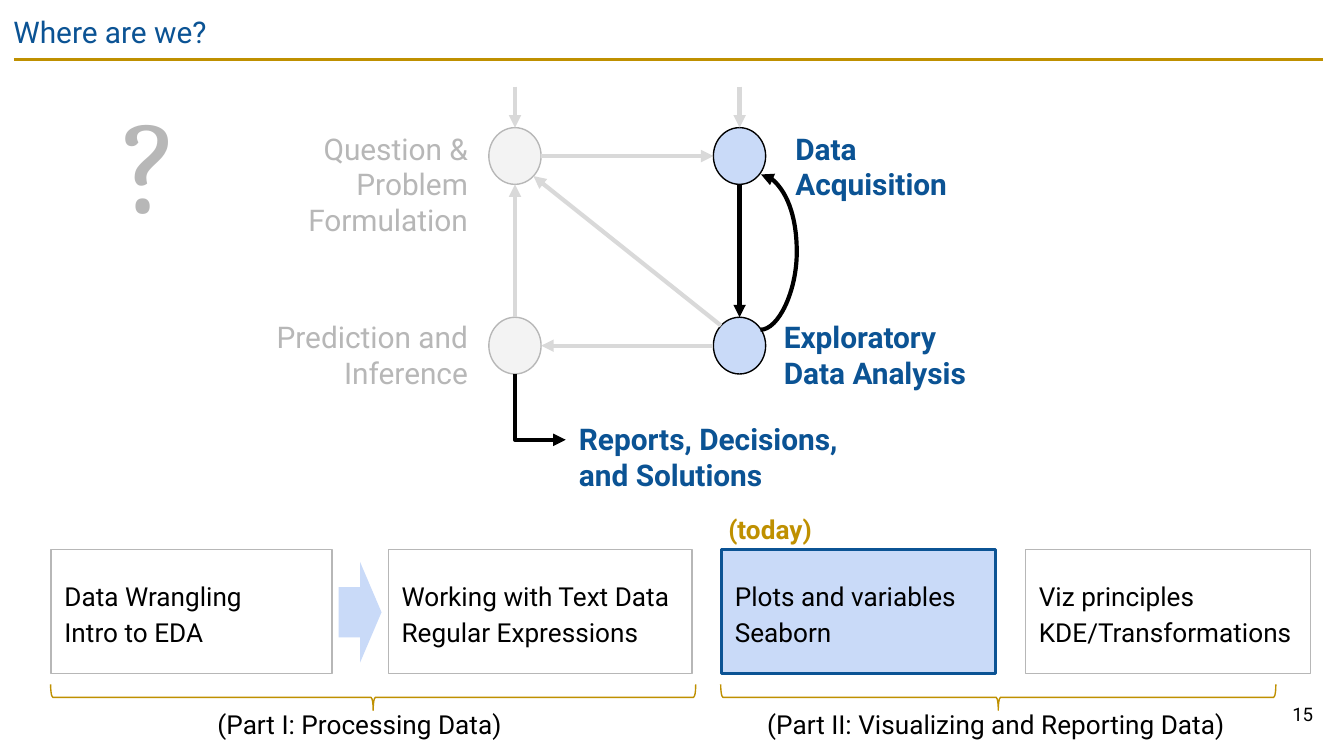
from dataclasses import dataclass
from math import cos, radians, sin

from lxml.etree import SubElement
from pptx import Presentation
from pptx.dml.color import RGBColor
from pptx.enum.shapes import MSO_CONNECTOR as Connector, MSO_SHAPE as Shape
from pptx.enum.text import MSO_ANCHOR as Anchor, MSO_AUTO_SIZE as AutoSize, PP_ALIGN as Align
from pptx.oxml.ns import qn
from pptx.util import Pt


@dataclass(frozen=True)
class Theme:
    font: str = "Roboto"
    symbol_font: str = "Cambria"
    blue: str = "0B5394"
    gold: str = "BF9000"
    pale_blue: str = "C9DAF8"
    black: str = "000000"
    white: str = "FFFFFF"
    grey: str = "B7B7B7"
    light_grey: str = "D9D9D9"
    pale_grey: str = "F3F3F3"
    heading: float = 16
    body: float = 14
    number: float = 10
    symbol: float = 72
    inset: float = 7.2
    thin: float = 0.75
    medium: float = 1.5
    thick: float = 2.25


THEME = Theme()
NODE_WIDTH, NODE_HEIGHT = 28, 30.4
# Connection sites of an ellipse, counter-clockwise from the top
TOP, TOP_LEFT, LEFT, BOTTOM, BOTTOM_RIGHT, RIGHT = 0, 1, 2, 4, 5, 6


def write_text(shape, text, size=THEME.body, color=THEME.black, bold=False, align=Align.LEFT,
               anchor=Anchor.TOP, font=THEME.font, spacing=None, inset=THEME.inset):
    frame = shape.text_frame
    frame.word_wrap = True
    frame.auto_size = AutoSize.NONE
    frame.vertical_anchor = anchor
    frame.margin_left = frame.margin_right = Pt(inset)
    frame.margin_top = frame.margin_bottom = Pt(min(inset, THEME.inset))
    frame.text = text
    for paragraph in frame.paragraphs:
        paragraph.alignment = align
        if spacing:
            paragraph.line_spacing = spacing
        paragraph.font.name = font
        paragraph.font.size = Pt(size)
        paragraph.font.bold = bold
        paragraph.font.color.rgb = RGBColor.from_string(color)


def add_label(slide, box, text, **text_format):
    shape = slide.shapes.add_textbox(*map(Pt, box))
    write_text(shape, text, **text_format)
    return shape


def add_figure(slide, kind, box, fill=None, line=None, weight=THEME.thin):
    shape = slide.shapes.add_shape(kind, *map(Pt, box))
    shape.shadow.inherit = False
    if fill:
        shape.fill.solid()
        shape.fill.fore_color.rgb = RGBColor.from_string(fill)
    else:
        shape.fill.background()
    if line:
        shape.line.color.rgb = RGBColor.from_string(line)
        shape.line.width = Pt(weight)
    else:
        shape.line.fill.background()
    return shape


def add_line(slide, start, end, color, weight=THEME.thick, kind=Connector.STRAIGHT, arrow=True):
    connector = slide.shapes.add_connector(kind, *map(Pt, (*start, *end)))
    connector.line.color.rgb = RGBColor.from_string(color)
    connector.line.width = Pt(weight)
    if arrow:
        SubElement(connector.line._get_or_add_ln(), qn("a:tailEnd"), type="triangle")
    SubElement(connector._element.spPr, qn("a:effectLst"))
    return connector


def add_node(slide, center, fill, line):
    x, y = center
    box = (x - NODE_WIDTH / 2, y - NODE_HEIGHT / 2, NODE_WIDTH, NODE_HEIGHT)
    return add_figure(slide, Shape.OVAL, box, fill, line)


def site_point(node, site):
    angle = radians(90 + 45 * site)
    x = node.left.pt + node.width.pt / 2 * (1 + cos(angle))
    y = node.top.pt + node.height.pt / 2 * (1 - sin(angle))
    return x, y


def link_nodes(slide, source, source_site, target, target_site, color):
    connector = add_line(slide, site_point(source, source_site),
                         site_point(target, target_site), color)
    # Ellipses have eight sites, so the joins are written directly
    joins = connector._element.nvCxnSpPr.cNvCxnSpPr
    for tag, node, site in (("a:stCxn", source, source_site), ("a:endCxn", target, target_site)):
        SubElement(joins, qn(tag), id=str(node.shape_id), idx=str(site))


def add_report_arrow(slide, start, end):
    # A quarter-turned, mirrored elbow runs down first and then right
    (x1, y1), (x2, y2) = start, end
    center_x, center_y = (x1 + x2) / 2, (y1 + y2) / 2
    half_length, half_depth = (y2 - y1) / 2, (x2 - x1) / 2
    connector = add_line(slide, (center_x + half_length, center_y - half_depth),
                         (center_x - half_length, center_y + half_depth),
                         THEME.black, kind=Connector.ELBOW)
    properties = connector._element.spPr
    properties.find(qn("a:xfrm")).set("rot", str(270 * 60000))
    properties.find(qn("a:prstGeom")).set("prst", "bentConnector2")


def add_return_arrow(slide, start, end, bulge):
    connector = add_line(slide, start, end, THEME.black, kind=Connector.CURVE)
    ratio = round(bulge / (end[0] - start[0]) * 100000)
    geometry = connector._element.spPr.find(qn("a:prstGeom"))
    guides = geometry.find(qn("a:avLst"))
    SubElement(guides, qn("a:gd"), name="adj1", fmla=f"val {ratio}")


def add_brace(slide, left, width, top=366.7, depth=13.8):
    # The brace is drawn upright around its centre and turned to point down
    box = (left + (width - depth) / 2, top + (depth - width) / 2, depth, width)
    add_figure(slide, Shape.RIGHT_BRACE, box, line=THEME.gold).rotation = 90


def add_title(slide):
    title = slide.shapes.title
    title.left, title.top, title.width, title.height = map(Pt, (0, 0, 671, 31))
    write_text(title, "Where are we?", size=THEME.heading, color=THEME.blue)
    add_line(slide, (7.5, 31.9), (709, 31.9), THEME.gold, THEME.medium, arrow=False)


def add_lifecycle(slide):
    left, right, upper, lower = 275.9, 396.2, 83.6, 185.2
    muted, active = (THEME.pale_grey, THEME.grey), (THEME.pale_blue, THEME.black)
    question = add_node(slide, (left, upper), *muted)
    acquisition = add_node(slide, (right, upper), *active)
    exploration = add_node(slide, (right, lower), *active)
    prediction = add_node(slide, (left, lower), *muted)

    # Arrows
    for node in (question, acquisition):
        x, y = site_point(node, TOP)
        add_line(slide, (x, 46.4), (x, y), THEME.light_grey)
    for link in (
        (question, RIGHT, acquisition, LEFT, THEME.light_grey),
        (acquisition, BOTTOM, exploration, TOP, THEME.black),
        (exploration, TOP_LEFT, question, BOTTOM_RIGHT, THEME.light_grey),
        (exploration, LEFT, prediction, RIGHT, THEME.light_grey),
        (prediction, TOP, question, BOTTOM, THEME.light_grey),
    ):
        link_nodes(slide, *link)
    add_report_arrow(slide, site_point(prediction, BOTTOM), (303.1, 235.6))
    add_return_arrow(slide, (407.4, 176.7), (407.73, 93.5), bulge=18.9)

    # Labels
    for box, text in (
        ((107.4, 62.6, 150.4, 35), "Question & Problem\nFormulation"),
        ((131, 163.7, 126.8, 35), "Prediction and\nInference"),
    ):
        add_label(slide, box, text, size=THEME.heading, color=THEME.grey, align=Align.RIGHT)
    for box, text in (
        ((419, 62.6, 110, 35), "Data\nAcquisition"),
        ((412.8, 163.7, 120, 35), "Exploratory Data Analysis"),
        ((303.1, 218.2, 162.7, 35), "Reports, Decisions, and Solutions"),
    ):
        add_label(slide, box, text, size=THEME.heading, color=THEME.blue, bold=True)
    add_label(slide, (60.5, 37.4, 38.2, 93), "?", size=THEME.symbol, color=THEME.grey,
              font=THEME.symbol_font, inset=5)


def add_schedule(slide):
    plain = (THEME.white, THEME.grey, THEME.thin)
    today = (THEME.pale_blue, THEME.blue, THEME.medium)
    for left, width, text, style in (
        (27.4, 150.5, "Data Wrangling\nIntro to EDA", plain),
        (208.1, 162.7, "Working with Text Data\nRegular Expressions", plain),
        (386.6, 146.9, "Plots and variables\nSeaborn", today),
        (549.4, 152.6, "Viz principles\nKDE/Transformations", plain),
    ):
        card = add_figure(slide, Shape.RECTANGLE, (left, 294.5, width, 66.2), *style)
        write_text(card, text, anchor=Anchor.MIDDLE, spacing=1.15)
    add_figure(slide, Shape.RIGHT_ARROW, (181.4, 301, 23, 54), THEME.pale_blue)
    add_label(slide, (364.3, 267.8, 96.5, 31.7), "(today)", color=THEME.gold, bold=True,
              align=Align.CENTER)

    # Parts
    for left, width, label_left, label_width, text in (
        (27.1, 345.6, 109.4, 170, "(Part I: Processing Data)"),
        (386.1, 297.4, 403.9, 262, "(Part II: Visualizing and Reporting Data)"),
    ):
        add_brace(slide, left, width)
        add_label(slide, (label_left, 372.2, label_width, 31.7), text)


def main():
    presentation = Presentation()
    presentation.slide_width, presentation.slide_height = Pt(720), Pt(405)
    slide = presentation.slides.add_slide(presentation.slide_layouts[5])
    add_title(slide)
    add_lifecycle(slide)
    add_schedule(slide)
    add_label(slide, (667.4, 367.2, 43.2, 31), "15", size=THEME.number,
              align=Align.RIGHT, anchor=Anchor.MIDDLE)
    presentation.save("out.pptx")


if __name__ == "__main__":
    main()
